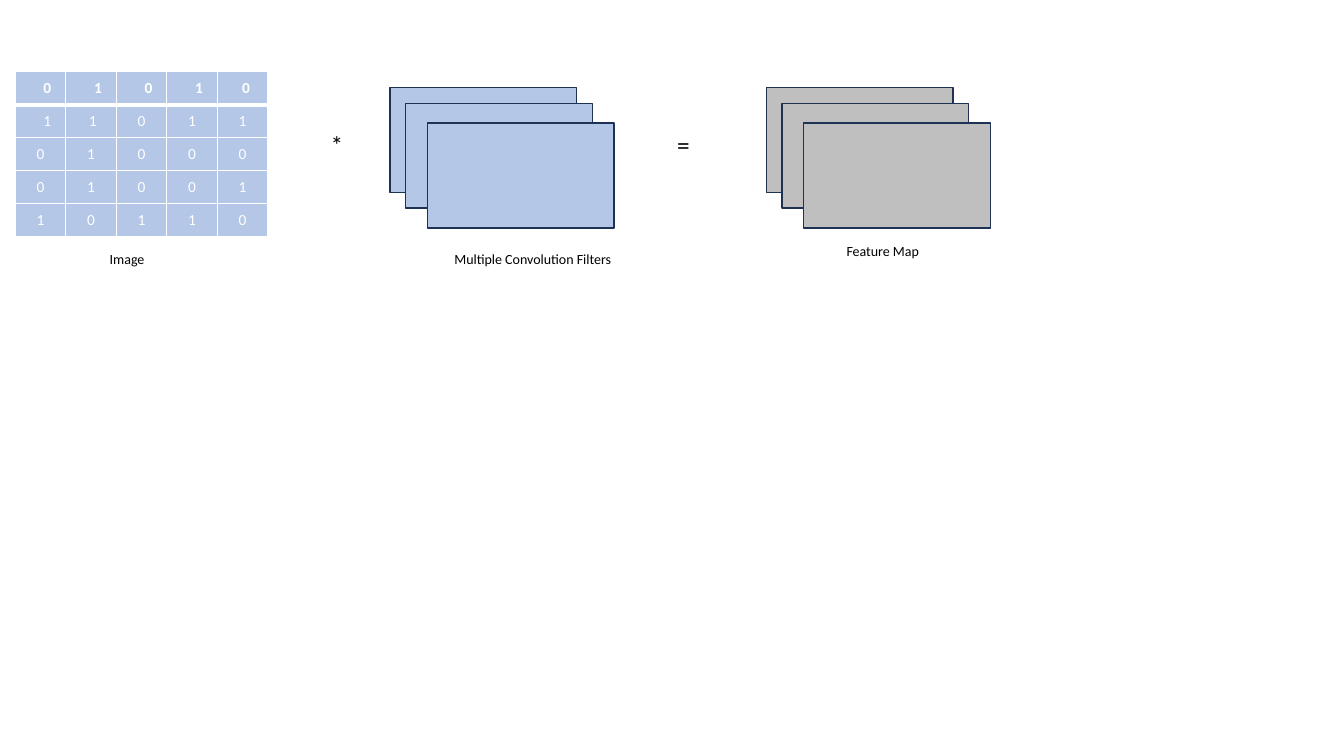
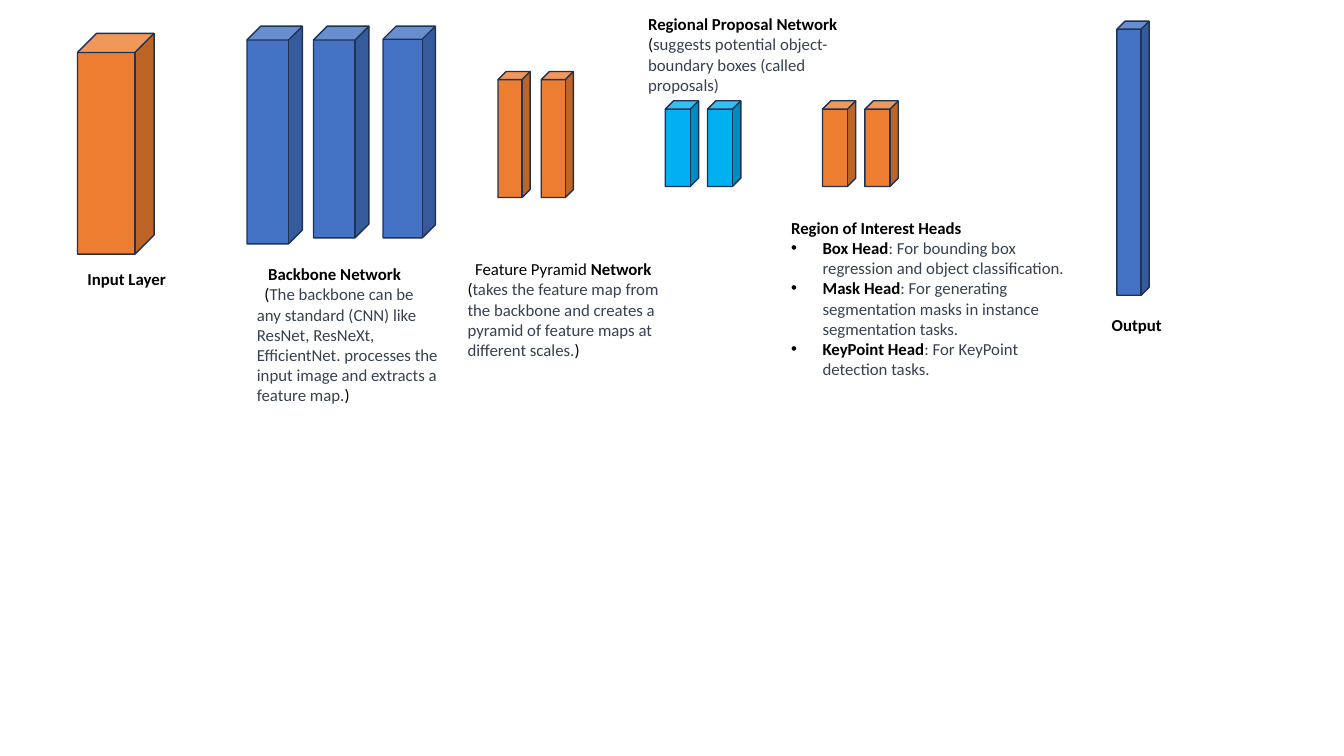
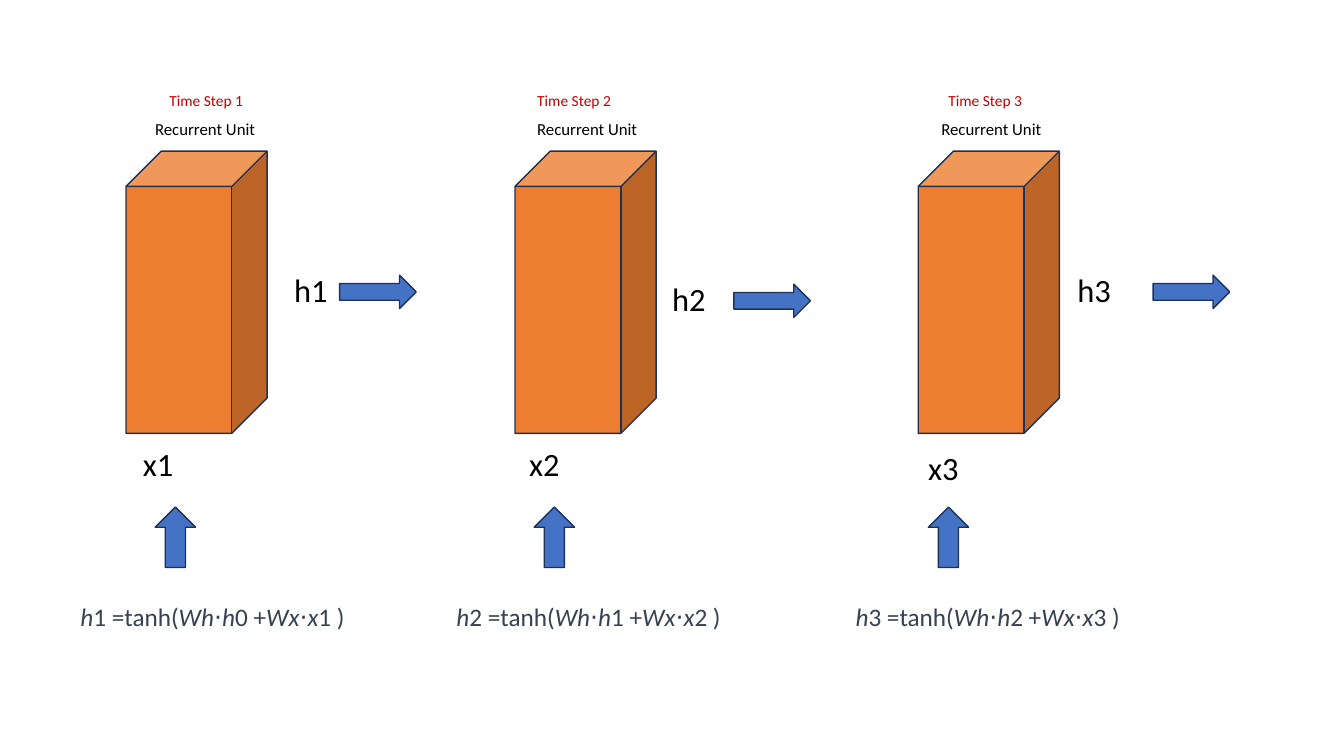
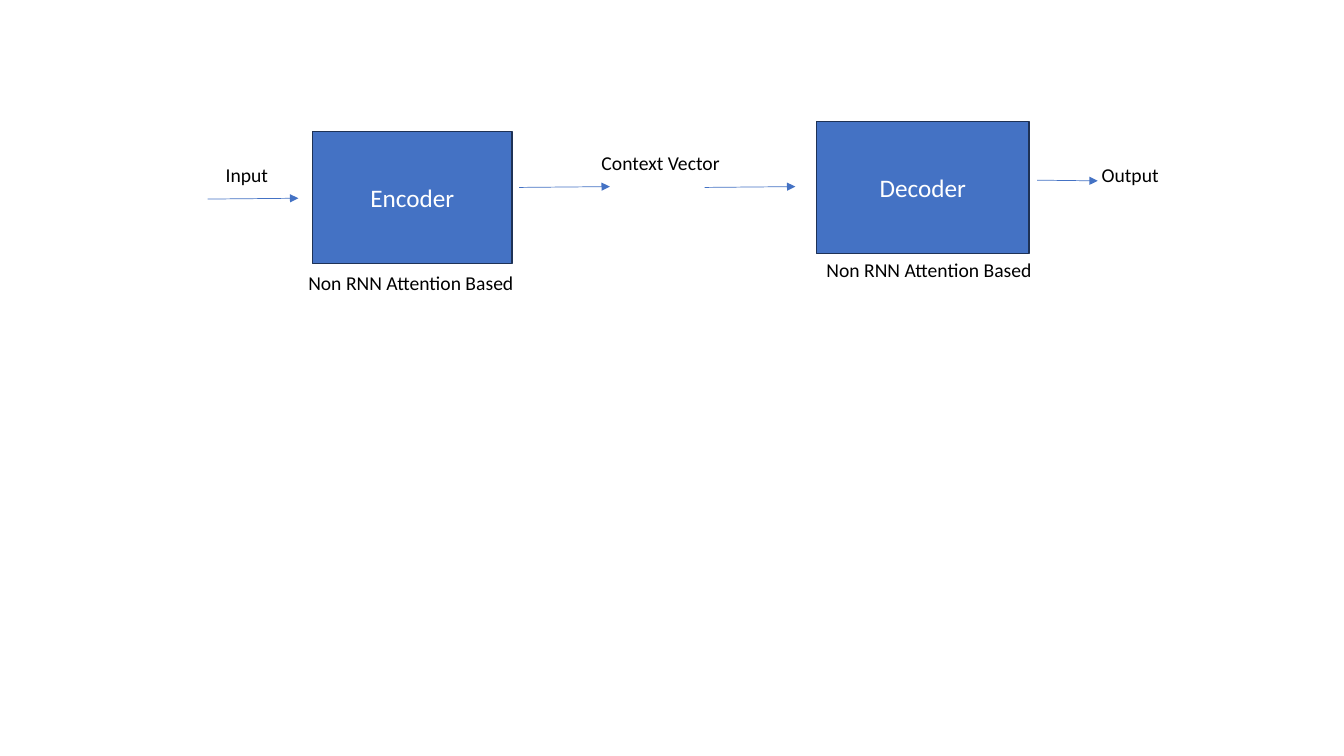
from dataclasses import dataclass

from lxml import etree
from pptx import Presentation
from pptx.dml.color import RGBColor
from pptx.enum.shapes import MSO_CONNECTOR, MSO_SHAPE as SHAPE
from pptx.enum.text import MSO_ANCHOR as ANCHOR, PP_ALIGN as ALIGN
from pptx.oxml.ns import qn
from pptx.util import Pt

# Shared style
FONT = "Calibri"
BLACK, WHITE, SLATE, RED = "000000", "FFFFFF", "374151", "C00000"
BLUE, ORANGE, CYAN, PALE, GREY = "4472C4", "ED7D31", "00B0F0", "B4C7E7", "BFBFBF"
OUTLINE = "1E3256"


@dataclass
class Run:
    text: str
    color: str = BLACK
    bold: bool = False
    italic: bool = False


@dataclass
class Para:
    runs: list
    left: float = 0
    first: float = 0
    bullet: bool = False


# Content: boxes are left, top, width, height in points
PIXELS = ["01010", "11011", "01000", "01001", "10110"]
TABLE_BOX = (10.8, 51.2, 180.7, 118.2)
PIXEL_SHIFTS = {(0, 0): 10, (0, 1): 10, (0, 2): 10, (0, 3): 10, (0, 4): 5,
                (1, 0): 10, (1, 1): 2.5}
STACK_OFFSETS = [(0, 0), (11.1, 11.2), (26.6, 25.4)]
STACKS = [(278.6, PALE), (547.4, GREY)]
CNN_LABELS = [
    ("*", (229, 88.6, 27.4, 28.8), 18),
    ("=", (476.6, 88.6, 44.6, 28.8), 18),
    ("Image", (71.3, 175.7, 153.4, 19.4), 10),
    ("Multiple Convolution Filters", (317.5, 175.7, 153.4, 19.4), 10),
    ("Feature Map", (597.6, 169.9, 153.4, 19.4), 10),
]

LAYERS = [
    (ORANGE, [(55.4, 23.8, 54.7, 157.7)]),
    (BLUE, [(176.4, 18.7, 39.6, 155.5), (223.9, 18.7, 39.6, 151.2),
            (273.6, 18.7, 37.4, 151.2), (797.8, 15.1, 23, 195.8)]),
    (ORANGE, [(x, 51.1, 23, 90) for x in (355.7, 386.6)]),
    (CYAN, [(x, 72, 23.8, 61.2) for x in (475.2, 505.4)]),
    (ORANGE, [(x, 72, 23.8, 61.2) for x in (587.5, 617.8)]),
]
HEADS = [
    ("Box Head", ": For bounding box regression and object classification."),
    ("Mask Head", ": For generating segmentation masks in instance segmentation tasks."),
    ("KeyPoint Head", ": For KeyPoint detection tasks."),
]
LAYER_NOTES = [
    ((55.4, 188.6, 77, 21.6), [Para([Run("Input Layer", bold=True)])]),
    ((176.4, 185, 145.4, 108.7), [
        Para([Run("Backbone Network", bold=True)], first=8.1),
        Para([Run("("),
              Run("The backbone can be any standard (CNN) like ResNet, ResNeXt, "
                  "EfficientNet. processes the input image and extracts a "
                  "feature map.", SLATE),
              Run(")")], first=5.4)]),
    ((326.9, 181.4, 153.4, 79.9), [
        Para([Run("Feature Pyramid"), Run(" Network", bold=True)], first=5.4),
        Para([Run("("),
              Run("takes the feature map from the backbone and creates a pyramid "
                  "of feature maps at different scales.", SLATE),
              Run(")")])]),
    ((455.8, 6.5, 162, 65.5), [
        Para([Run("Regional Proposal Network", bold=True)]),
        Para([Run("("),
              Run("suggests potential object-boundary boxes (called proposals)",
                  SLATE)])]),
    ((558, 151.9, 221, 138.2),
     [Para([Run("Region of Interest Heads", bold=True)])]
     + [Para([Run(name, bold=True), Run(job, SLATE)], 22.5, -22.5, True)
        for name, job in HEADS]),
    ((787, 221, 55.4, 21.6), [Para([Run("Output", bold=True)])]),
]

# Left edges (and tops where they differ) of each time step's parts
STEPS = [
    dict(cube=90, unit=103.7, step=113.8, x=(95, 313.9), h=(203, 189.4),
         up=110.9, right=(242.6, 196.6), formula=50.4),
    dict(cube=367.9, unit=376.6, step=376.6, x=(370.8, 313.9), h=(473, 195.8),
         up=381.6, right=(524.2, 203), formula=319),
    dict(cube=655.9, unit=665.3, step=670.3, x=(655.9, 316.8), h=(762.5, 189.4),
         up=663.1, right=(823.7, 196.6), formula=604.1),
]

BLOCKS = [("Encoder", (223.2, 94, 142.6, 94.3)),
          ("Decoder", (583.2, 86.8, 152, 94.3))]
ARROWS = [(148.3, 142.2, 213.1, 141.6), (740.9, 128.7, 784.1, 129.2),
          (370.8, 133.9, 435.6, 133.3), (503.3, 133.9, 568.1, 133.3)]
CODER_LABELS = [
    ("Input", (154.1, 113, 62.6, 24.5)),
    ("Context Vector", (422.6, 104.4, 105.1, 24.5)),
    ("Output", (779.8, 113, 105.1, 24.5)),
    ("Non RNN Attention Based", (213.1, 190.1, 172.1, 24.5)),
    ("Non RNN Attention Based", (583.2, 180.7, 172.1, 24.5)),
]


# Helpers
def rgb(color):
    return RGBColor.from_string(color)


def pts(box):
    return [Pt(v) for v in box]


def add_run(p, run, size):
    r = p.add_run()
    r.text = run.text
    f = r.font
    f.name, f.size, f.bold, f.italic = FONT, Pt(size), run.bold, run.italic
    f.color.rgb = rgb(run.color)


def add_text(s, box, paras, size):
    tf = s.shapes.add_textbox(*pts(box)).text_frame
    tf.word_wrap = True
    for i, para in enumerate(paras):
        p = tf.add_paragraph() if i else tf.paragraphs[0]
        pPr = p._p.get_or_add_pPr()
        pPr.set("marL", str(Pt(para.left)))
        pPr.set("indent", str(Pt(para.first)))
        if para.bullet:
            etree.SubElement(pPr, qn("a:buFont"), typeface="Arial")
            etree.SubElement(pPr, qn("a:buChar"), char="•")
        for run in para.runs:
            add_run(p, run, size)


def add_label(s, text, box, size, color=BLACK):
    add_text(s, box, [Para([Run(text, color)])], size)


def add_shape(s, kind, box, color):
    sp = s.shapes.add_shape(kind, *pts(box))
    sp.shadow.inherit = False
    sp.fill.solid()
    sp.fill.fore_color.rgb = rgb(color)
    sp.line.color.rgb = rgb(OUTLINE)
    sp.line.width = Pt(1)
    return sp


def add_arrow(s, ends):
    c = s.shapes.add_connector(MSO_CONNECTOR.STRAIGHT, *pts(ends))
    c.line.color.rgb = rgb(BLUE)
    c.line.width = Pt(0.5)
    etree.SubElement(c.line._get_or_add_ln(), qn("a:tailEnd"), type="triangle")
    etree.SubElement(c._element.spPr, qn("a:effectLst"))


def set_borders(cell, bottom):
    tcPr = cell._tc.get_or_add_tcPr()
    widths = {"lnL": 1, "lnR": 1, "lnT": 1, "lnB": bottom}
    for i, (side, width) in enumerate(widths.items()):
        ln = etree.Element(qn("a:" + side), w=str(Pt(width)))
        fill = etree.SubElement(ln, qn("a:solidFill"))
        etree.SubElement(fill, qn("a:srgbClr"), val=WHITE)
        tcPr.insert(i, ln)


def add_pixel_table(s):
    n = len(PIXELS)
    table = s.shapes.add_table(n, n, *pts(TABLE_BOX)).table
    for i in range(n):
        table.columns[i].width = Pt(TABLE_BOX[2] / n)
        table.rows[i].height = Pt(TABLE_BOX[3] / n)
    for i, row in enumerate(PIXELS):
        for j, value in enumerate(row):
            cell = table.cell(i, j)
            cell.fill.solid()
            cell.fill.fore_color.rgb = rgb(PALE)
            cell.vertical_anchor = ANCHOR.MIDDLE
            cell.margin_left = Pt(7.2 + PIXEL_SHIFTS.get((i, j), 0))
            p = cell.text_frame.paragraphs[0]
            p.alignment = ALIGN.CENTER
            add_run(p, Run(value, WHITE, bold=i == 0), 11)
            set_borders(cell, 3 if i == 0 else 1)


# Slides
def build_convolution(s):
    add_pixel_table(s)
    for left, color in STACKS:
        for dx, dy in STACK_OFFSETS:
            add_shape(s, SHAPE.RECTANGLE, (left + dx, 62.6 + dy, 133.4, 74.9), color)
    for text, box, size in CNN_LABELS:
        add_label(s, text, box, size)


def build_detector(s):
    for color, boxes in LAYERS:
        for box in boxes:
            add_shape(s, SHAPE.CUBE, box, color)
    for box, paras in LAYER_NOTES:
        add_text(s, box, paras, 12)


def formula_runs(n):
    parts = [("h", True), (f"{n} =tanh(", False), ("Wh", True), ("⋅", False),
             ("h", True), (f"{n - 1} +", False), ("Wx", True), ("⋅", False),
             ("x", True), (f"{n} )", False)]
    return [Run(text, SLATE, italic=italic) for text, italic in parts]


def build_recurrent(s):
    for n, at in enumerate(STEPS, 1):
        add_shape(s, SHAPE.CUBE, (at["cube"], 108, 100.8, 201.6), ORANGE)
        add_shape(s, SHAPE.UP_ARROW, (at["up"], 362.2, 28.8, 43.2), BLUE)
        add_shape(s, SHAPE.RIGHT_ARROW, (*at["right"], 54.7, 23.8), BLUE)
        add_label(s, f"Time Step {n}", (at["step"], 61.2, 111.6, 20.9), 11, RED)
        add_label(s, "Recurrent Unit", (at["unit"], 81.4, 111.6, 21.6), 12)
        add_label(s, f"x{n}", (*at["x"], 62, 35.3), 23.2)
        add_label(s, f"h{n}", (*at["h"], 87.8, 35.3), 23.2)
        add_text(s, (at["formula"], 426.2, 230, 28.8), [Para(formula_runs(n))], 18)


def build_encoder_decoder(s):
    for name, box in BLOCKS:
        tf = add_shape(s, SHAPE.RECTANGLE, box, BLUE).text_frame
        tf.vertical_anchor = ANCHOR.MIDDLE
        p = tf.paragraphs[0]
        p.alignment = ALIGN.CENTER
        add_run(p, Run(name, WHITE), 18)
    for ends in ARROWS:
        add_arrow(s, ends)
    for text, box in CODER_LABELS:
        add_label(s, text, box, 14)


def main():
    prs = Presentation()
    prs.slide_width, prs.slide_height = Pt(960), Pt(540)
    blank = prs.slide_layouts[6]
    for build in (build_convolution, build_detector, build_recurrent,
                  build_encoder_decoder):
        build(prs.slides.add_slide(blank))
    prs.save("out.pptx")


if __name__ == "__main__":
    main()
